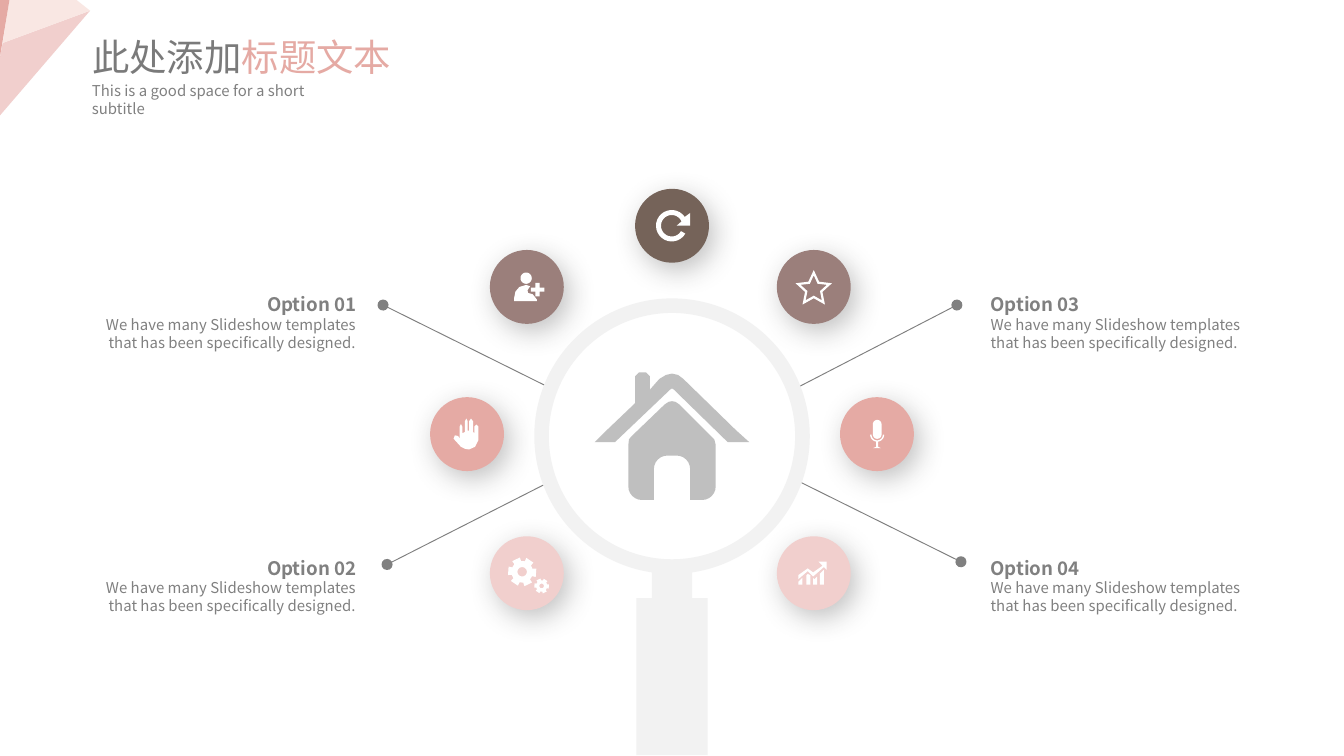
from math import cos, radians, sin

from lxml import etree
from pptx import Presentation
from pptx.dml.color import RGBColor
from pptx.enum.shapes import MSO_CONNECTOR, MSO_SHAPE
from pptx.enum.text import MSO_ANCHOR, MSO_AUTO_SIZE, PP_ALIGN
from pptx.oxml.ns import qn
from pptx.util import Inches, Pt

STRAIGHT = MSO_CONNECTOR.STRAIGHT
OVAL, DONUT, RECT = MSO_SHAPE.OVAL, MSO_SHAPE.DONUT, MSO_SHAPE.RECTANGLE
TOP, GROW = MSO_ANCHOR.TOP, MSO_AUTO_SIZE.SHAPE_TO_FIT_TEXT
LEFT, RIGHT = PP_ALIGN.LEFT, PP_ALIGN.RIGHT

COLUMNS, ROWS = 1000, 562.5
UNIT = Inches(10) / COLUMNS
FONT = "Noto Sans CJK SC"
GRAY, TITLE_GRAY, PALE_GRAY, HOUSE_GRAY = "808080", "7A7A7A", "F2F2F2", "BFBFBF"
ROSE, PINK, BLUSH, MAUVE, BROWN = "E5AAA4", "F1CFCD", "F9E7E3", "9B7F7B", "756359"
DISC_SIZE, DISC_CELLS = 55, 55
OPTION_TEXT = "We have many Slideshow templates that has been specifically designed."


def color(value):
    return RGBColor.from_string(value)


def grid(*cells):
    return [round(cell * UNIT) for cell in cells]


def paint(shape, fill):
    shape.shadow.inherit = False
    shape.fill.solid()
    shape.fill.fore_color.rgb = color(fill)
    shape.line.fill.background()
    return shape


def preset(page, kind, box, fill):
    return paint(page.shapes.add_shape(kind, *grid(*box)), fill)


def outline(page, box, cells, contours, fill):
    left, top, width = box[:3]
    scale = width / cells
    rings = [[tuple(grid(left + x * scale, top + y * scale)) for x, y in ring]
             for ring in contours]
    builder = page.shapes.build_freeform(*rings[0][0], scale=1.0)
    builder.add_line_segments(rings[0][1:], close=True)
    for ring in rings[1:]:
        builder.move_to(*ring[0])
        builder.add_line_segments(ring[1:], close=True)
    paint(builder.convert_to_shape(), fill)


def arc(x, y, radius, start=0, end=360, steps=24):
    angles = [radians(start + (end - start) * step / steps) for step in range(steps + 1)]
    return [(x + radius * cos(angle), y + radius * sin(angle)) for angle in angles]


def star(x, y, outer, inner):
    return [arc(x, y, inner if tip % 2 else outer, 36 * tip - 90, 0, 1)[0] for tip in range(10)]


def gear(x, y, outer, inner, hole):
    teeth = []
    for angle in range(4, 364, 60):
        teeth += arc(x, y, inner, angle - 24, angle - 20, 1)
        teeth += arc(x, y, outer, angle - 17, angle + 17, 1)
        teeth += arc(x, y, inner, angle + 20, angle + 24, 1)
    return [teeth, arc(x, y, hole)]


REFRESH = [[arc(27.3, 27.5, 11.7, -34, -330) + arc(27.3, 27.5, 8, -330, -24)
            + [(31, 27.5), (41, 27.5), (41, 18)]]]
STAR = [[star(27.5, 29.2, 14.2, 6.8), star(27.5, 29.2, 10.3, 4.9)]]
PERSON = [
    [arc(27, 21, 4.2)],
    [[(18, 38), (18, 36), (19, 31), (22, 27.5), (27, 26), (30, 27), (28, 30),
      (28.5, 32), (32, 33), (35, 37), (35, 38)]],
    [[(34, 24.5), (37, 24.5), (37, 28), (40.5, 28), (40.5, 31), (37, 31),
      (37, 34.5), (34, 34.5), (34, 31), (30.5, 31), (30.5, 28), (34, 28)]],
]
HAND = [[[(36, 32), (36, 22), (34.5, 20.5), (33, 22), (33, 27), (32, 26), (32, 18),
          (30.5, 16), (29, 18), (29, 25), (28, 25), (28, 18), (27, 16), (26, 18),
          (26, 26), (24, 27), (24, 22), (23, 20), (22, 22), (22, 31), (21, 29),
          (18.5, 28.5), (17.5, 31), (23, 37), (26, 38.5), (29, 39), (33.5, 37)]]]
MICROPHONE = [
    [arc(27.7, 20.2, 3.2, 180, 360) + arc(27.7, 27.8, 3.2, 0, 180)],
    [arc(27.7, 28, 4.2, 0, 180) + arc(27.7, 28, 5.2, 180, 98)
     + [(27, 37), (24.5, 38), (30.5, 38), (28.4, 37)] + arc(27.7, 28, 5.2, 82, 0)],
]
GEARS = [gear(24, 26.5, 10.8, 8, 3.5), gear(38.5, 37, 5.6, 4.2, 1.7)]
CHART = [
    [[(16, 36), (19, 36), (19, 31), (16, 34)]],
    [[(22, 29), (22, 36), (25, 36), (25, 29), (23, 28)]],
    [[(27, 31), (27, 36), (30, 36), (30, 30), (28, 32)]],
    [[(32, 36), (35, 36), (35, 25), (32, 28)]],
    [[(31, 19), (34, 22), (27, 27), (23, 24), (16, 29), (16, 32), (23, 26),
      (27, 30), (35, 23), (37, 25), (37, 19)]],
]
HOUSE = [
    [[(90, 54), (89, 50), (87, 48), (63, 24), (60, 22), (57.5, 21.5), (55, 22), (52, 24),
      (27, 48), (25.5, 50), (25, 54)] + arc(35, 85, 10, 180, 90, 6)
     + [(44, 95)] + arc(54, 72, 10, 180, 270, 6) + arc(61, 72, 10, -90, 0, 6)
     + [(71, 95)] + arc(80, 85, 10, 90, 0, 6)],
    [[(105, 43), (66, 5), (62, 2), (57.5, 1), (53, 2), (48, 5), (41, 13), (41, 3), (38, 0),
      (33, 0), (30, 3), (30, 23), (8, 44), (0, 52), (15, 52), (56, 13), (57.5, 12),
      (59, 13), (99, 52), (115, 52)]],
]
DISCS = [
    (472.5, 140.5, BROWN, REFRESH), (364.5, 186, MAUVE, PERSON), (578, 186, MAUVE, STAR),
    (320, 295.5, ROSE, HAND), (625, 295.5, ROSE, MICROPHONE),
    (364.5, 399, PINK, GEARS), (578, 399, PINK, CHART),
]
OPTIONS = [
    ("Option 01", (60, 218, 205, 43), RIGHT, (408, 288, 285, 227)),
    ("Option 02", (60, 414, 205, 43), RIGHT, (410, 358, 288, 420)),
    ("Option 03", (737, 218, 205, 43), LEFT, (594, 288, 712, 227)),
    ("Option 04", (737, 414, 205, 43), LEFT, (594, 358, 715, 418)),
]
FACETS = [
    (PINK, [(67, 8), (2, 32), (-1, 48), (-1, 87)]),
    (BLUSH, [(67, 8), (57, 0), (7, 0), (2, 32)]),
    (ROSE, [(7, 0), (-1, 0), (-1, 48)]),
]


def write(shape, box, paragraphs, align=LEFT, inset=None):
    shape.left, shape.top, shape.width, shape.height = grid(*box)
    frame = shape.text_frame
    settings = {"word_wrap": True, "auto_size": GROW, "vertical_anchor": TOP}
    if inset is not None:
        settings.update({"margin_" + side: inset for side in ("left", "top", "right", "bottom")})
    for name, value in settings.items():
        setattr(frame, name, value)
    for index, spans in enumerate(paragraphs):
        para = frame.add_paragraph() if index else frame.paragraphs[0]
        para.alignment = align
        for text, size, shade, bold in spans:
            span = para.add_run()
            span.text = text
            for name, value in {"name": FONT, "size": Pt(size), "bold": bold}.items():
                setattr(span.font, name, value)
            span.font.color.rgb = color(shade)
            etree.SubElement(span.font._element, qn("a:ea"), typeface=FONT)


def draw_header(page):
    for fill, points in FACETS:
        outline(page, (0, 0, COLUMNS, ROWS), COLUMNS, [points], fill)
    write(page.shapes.title, (58.5, 20.5, 245, 44),
          [[("此处添加", 20, TITLE_GRAY, False), ("标题文本", 20, ROSE, False)]])
    write(page.shapes.add_textbox(0, 0, 0, 0), (58.5, 56, 219, 24),
          [[("This is a good space for a short subtitle", 8, GRAY, False)]])


def draw_disc(page, box, fill, icon):
    disc = preset(page, OVAL, box, fill)
    effects = disc._element.spPr.find(qn("a:effectLst"))
    shadow = etree.SubElement(effects, qn("a:outerShdw"), blurRad=str(Pt(15)),
                              dist=str(Pt(5)), dir=str(55 * 60000), rotWithShape="0")
    tint = etree.SubElement(shadow, qn("a:srgbClr"), val="333333")
    etree.SubElement(tint, qn("a:alpha"), val="30000")
    for part in icon:
        outline(page, box, DISC_CELLS, part, "FFFFFF")


def draw_magnifier(page, box):
    left, top, size, height = box
    middle = left + size / 2
    ring = preset(page, DONUT, (left, top, size, size), PALE_GRAY)
    ring.adjustments[0] = 0.053
    preset(page, RECT, (middle - 15, top + 201, 30, 31), PALE_GRAY)
    preset(page, RECT, (middle - 26.5, top + 223, 53, height - 223), PALE_GRAY)
    for part in HOUSE:
        outline(page, (middle - 57.5, top + 55, 115, 95), 115, part, HOUSE_GRAY)


def draw_option(page, box, name, align, leader):
    line = page.shapes.add_connector(STRAIGHT, *grid(*leader))
    line.line.color.rgb = color(GRAY)
    line.line.width = Pt(0.5)
    etree.SubElement(line.line._get_or_add_ln(), qn("a:tailEnd"), type="oval")
    etree.SubElement(line._element.spPr, qn("a:effectLst"))
    write(page.shapes.add_textbox(0, 0, 0, 0), box,
          [[(name, 10, GRAY, True)], [(OPTION_TEXT, 8, GRAY, False)]], align, 0)


def main():
    deck = Presentation()
    deck.slide_width, deck.slide_height = grid(COLUMNS, ROWS)
    page = deck.slides.add_slide(deck.slide_layouts[5])
    for name, box, align, leader in OPTIONS:
        draw_option(page, box, name, align, leader)
    for left, top, fill, icon in DISCS:
        draw_disc(page, (left, top, DISC_SIZE, DISC_SIZE), fill, icon)
    draw_magnifier(page, (397.5, 222, 205, 340))
    draw_header(page)
    deck.save("out.pptx")


if __name__ == "__main__":
    main()
